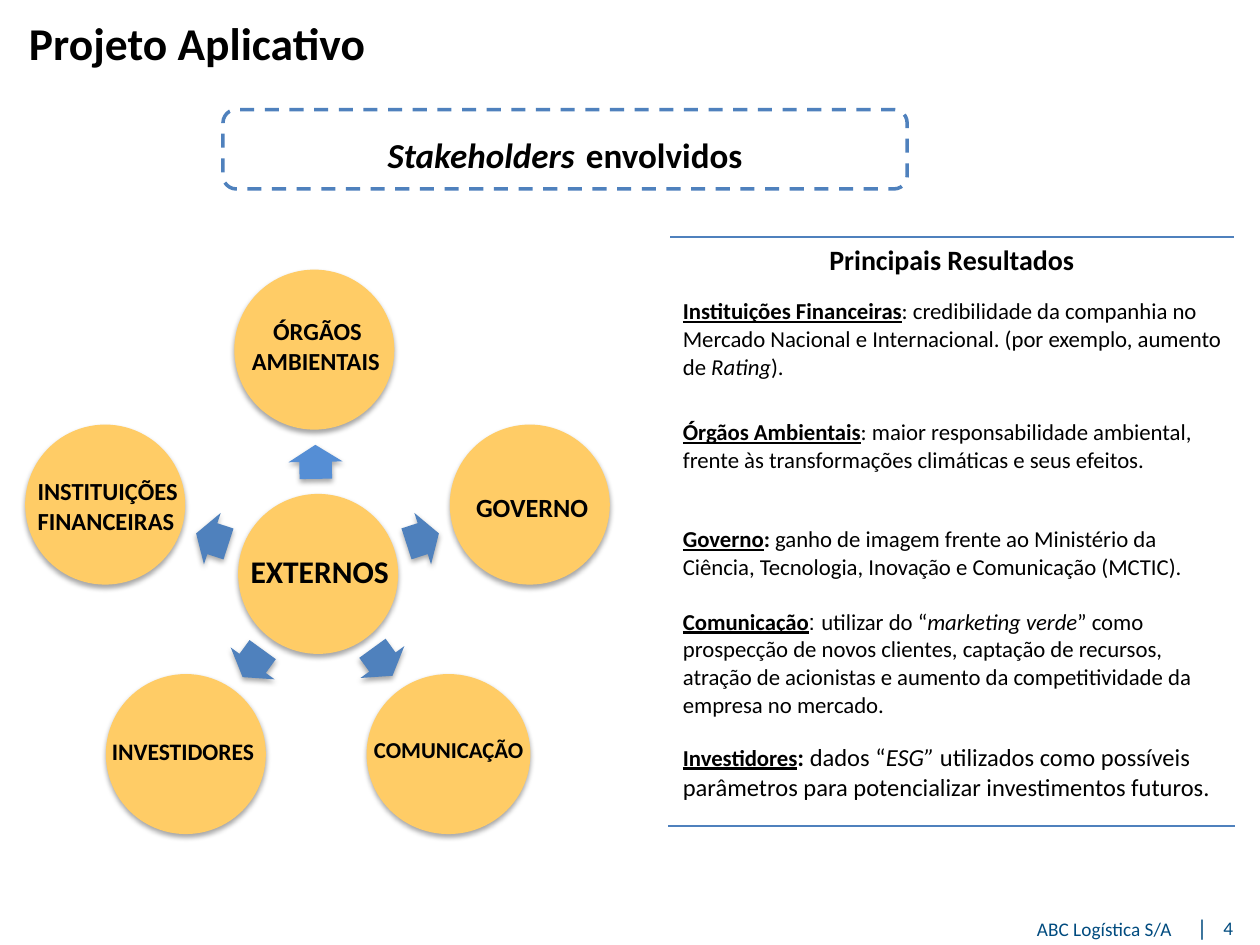
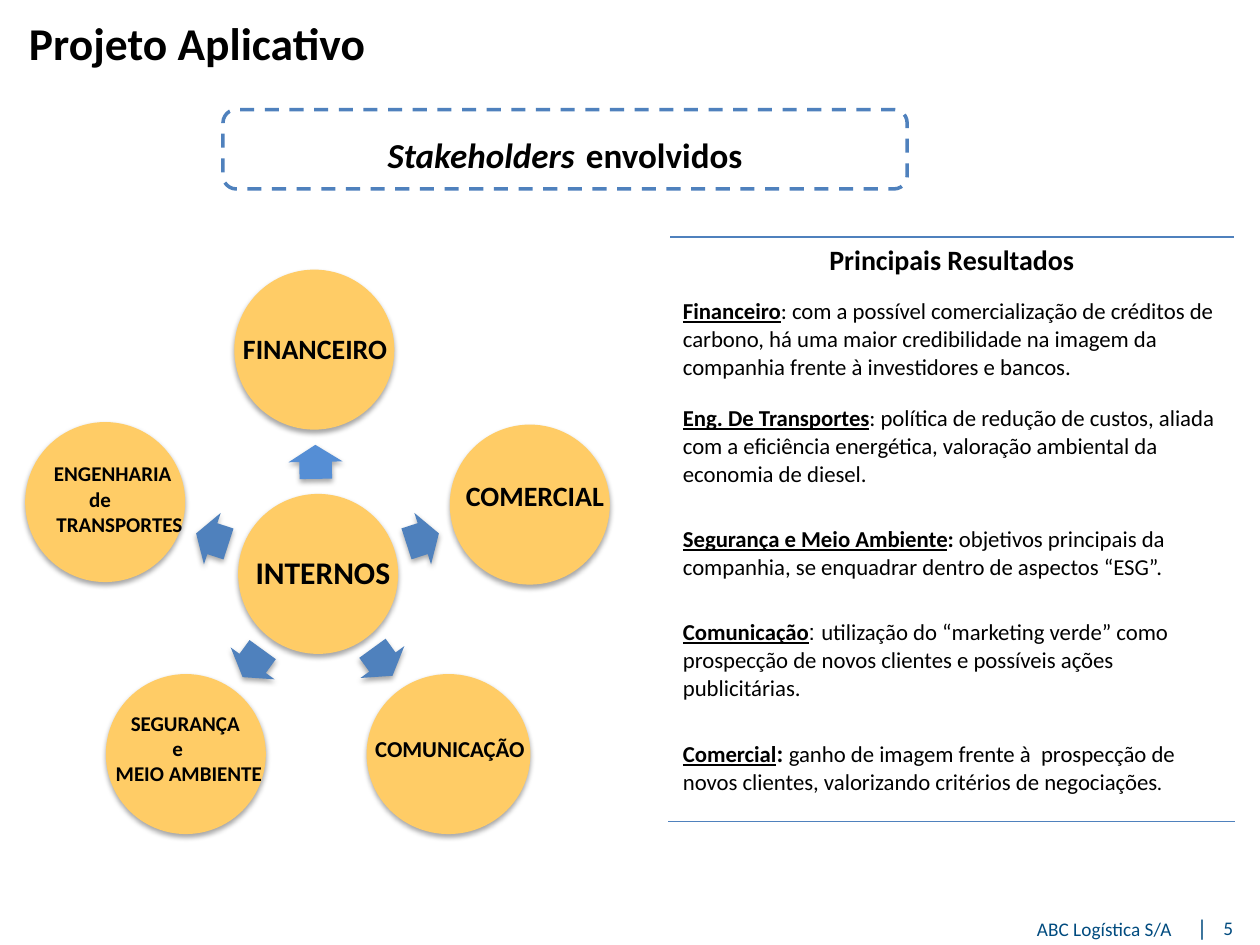
from lxml import etree
from pptx import Presentation
from pptx.dml.color import RGBColor
from pptx.enum import dml, shapes, text
from pptx.oxml.ns import qn
from pptx.util import Inches, Pt

COLORS = {"ink": "000000", "paper": "FFFFFF", "blue": "4F81BD", "light_blue": "558ED5",
          "amber": "FFCC66", "footer": "004B7F"}
RGB = {name: RGBColor.from_string(value) for name, value in COLORS.items()}
FONT = "Calibri"

CIRCLE = 1.27
CENTER = (1.89, 3.92, CIRCLE)
SATELLITES = [(1.86, 2.14, CIRCLE), (3.57, 3.37, CIRCLE), (2.91, 5.35, 1.3),
              (0.84, 5.35, CIRCLE), (0.2, 3.37, CIRCLE)]
ARROWS = [(2.37, 3.45, 269.1, "light_blue"), (3.22, 4.06, 342, "blue"), (2.9, 5.04, 54, "blue"),
          (1.87, 5.05, 126, "blue"), (1.55, 4.06, 198, "blue")]
HEADING = [("Stakeholders", "bi", 20), (" ", "", 28), ("envolvidos", "b", 20)]
FOOTERS = [("ABC Logística S/A", 8.23, 7.28, 1.22, 0.19, 11), ("|", 9.5, 7.25, 0.1, 0.22, 13)]

PAGES = [
    {
        "number": "4",
        "west_lift": 0,
        "labels": [
            (1.89, 4.33, 1.5, 18, [("EXTERNOS", 0)]),
            (0.79, 5.8, 1.6, 13.5, [("INVESTIDORES", 0)]),
            (0.2, 3.73, 1.6, 14, [("INSTITUIÇÕES", 0), ("FINANCEIRAS", 0)]),
            (3.68, 3.85, 1.3, 15, [("GOVERNO", 0)]),
            (1.9, 2.46, 1.6, 14, [("ÓRGÃOS", 0.17), ("AMBIENTAIS", 0)]),
            (2.87, 5.79, 1.6, 13, [("COMUNICAÇÃO", 0)]),
        ],
        "results": [
            [("Instituições Financeiras", "bu"),
             (": credibilidade da companhia no Mercado Nacional e Internacional. (por exemplo, aumento de ", ""),
             ("Rating", "i"), (").", "")],
            [("Órgãos Ambientais", "bu"),
             (": maior responsabilidade ambiental, frente às transformações climáticas e seus efeitos.", "")],
            [("Governo", "bu"), (": ", "b"),
             ("ganho de imagem frente ao Ministério da Ciência, Tecnologia, Inovação e Comunicação (MCTIC).", "")],
            [("Comunicação", "bu"), (": ", "", 13, "Arial"), ("utilizar do “", ""), ("marketing verde", "i"),
             ("” como prospecção de novos clientes, captação de recursos, atração de acionistas "
              "e aumento da competitividade da empresa no mercado.", "")],
            [("Investidores", "bu"), (": ", "b", 14), ("dados “", "", 14), ("ESG”", "i", 14),
             (" utilizados como possíveis parâmetros para potencializar investimentos futuros.", "", 14)],
        ],
    },
    {
        "number": "5",
        "west_lift": 0.02,
        "labels": [
            (1.93, 4.34, 1.5, 18, [("INTERNOS", 0)]),
            (3.6, 3.75, 1.5, 16, [("COMERCIAL", 0)]),
            (1.83, 2.58, 1.69, 16, [("FINANCEIRO", 0)]),
            (0.28, 3.61, 1.6, 12, [("ENGENHARIA", 0.05), ("de", 0.33), ("TRANSPORTES", 0.07)]),
            (0.78, 5.59, 1.8, 12, [("SEGURANÇA", 0.16), ("e", 0.49), ("MEIO AMBIENTE", 0.04)]),
            (2.88, 5.78, 1.56, 13, [("COMUNICAÇÃO", 0)]),
        ],
        "results": [
            [("Financeiro", "bu"),
             (": com a possível comercialização de créditos de carbono, há uma maior credibilidade "
              "na imagem da companhia frente à investidores e bancos.", "")],
            [("Eng. De Transportes", "bu"),
             (": política de redução de custos, aliada com a eficiência energética, "
              "valoração ambiental da economia de diesel.", "")],
            [("Segurança e Meio Ambiente", "bu"), (": ", "b"),
             ("objetivos principais da companhia, se enquadrar dentro de aspectos “ESG”.", "")],
            [("Comunicação", "bu"), (": ", "", 13, "Arial"),
             ("utilização do “marketing verde” como prospecção de novos clientes "
              "e possíveis ações publicitárias.", "")],
            [("Comercial", "bu"), (": ", "b", 14),
             ("ganho de imagem frente à  prospecção de novos clientes, "
              "valorizando critérios de negociações", ""), (".", "", 12)],
        ],
    },
]


def write_runs(paragraph, pieces):
    for wording, flags, *rest in pieces:
        size, font = (rest + [13, FONT][len(rest):])
        run = paragraph.add_run()
        run.text = wording
        run.font.name, run.font.size = font, Pt(size)
        run.font.bold, run.font.italic, run.font.underline = "b" in flags, "i" in flags, "u" in flags
        run.font.color.rgb = RGB["ink"]


def add_raised(slide, preset, left, top, width, height, color):
    shape = slide.shapes.add_shape(preset, Inches(left), Inches(top), Inches(width), Inches(height))
    shape.fill.solid()
    shape.fill.fore_color.rgb = RGB[color]
    shape.line.fill.background()
    shape.shadow.inherit = False
    effects = shape._element.spPr.find(qn("a:effectLst"))
    shadow = etree.SubElement(effects, qn("a:outerShdw"), blurRad=str(Pt(3.1)), dist=str(Pt(1.8)),
                              dir="5400000", rotWithShape="0")
    shade = etree.SubElement(shadow, qn("a:srgbClr"), val=COLORS["ink"])
    etree.SubElement(shade, qn("a:alpha"), val="35000")
    return shape


prs = Presentation()
prs.slide_width, prs.slide_height = Inches(10), Inches(7.5)

for page in PAGES:
    slide = prs.slides.add_slide(prs.slide_layouts[5])

    title = slide.shapes.title
    title.left, title.top, title.width, title.height = Inches(0.13), Inches(0.07), Inches(5), Inches(0.54)
    title.text_frame.text = "Projeto Aplicativo"
    title.text_frame.auto_size = text.MSO_AUTO_SIZE.NONE
    title.text_frame.vertical_anchor = text.MSO_ANCHOR.TOP
    heading = title.text_frame.paragraphs[0]
    heading.alignment = text.PP_ALIGN.LEFT
    heading.font.name, heading.font.size, heading.font.bold = FONT, Pt(26), True
    heading.font.color.rgb = RGB["ink"]

    for wording, left, top, width, height, size in FOOTERS + [(page["number"], 9.71, 7.28, 0.24, 0.17, 11)]:
        frame = slide.shapes.add_textbox(Inches(left), Inches(top), Inches(width), Inches(height)).text_frame
        frame.margin_left = frame.margin_right = frame.margin_top = frame.margin_bottom = 0
        frame.vertical_anchor = text.MSO_ANCHOR.MIDDLE
        frame.word_wrap = False
        frame.text = wording
        footer = frame.paragraphs[0]
        footer.font.name, footer.font.size = FONT, Pt(size)
        footer.font.color.rgb = RGB["footer"]

    banner = slide.shapes.add_shape(shapes.MSO_SHAPE.ROUNDED_RECTANGLE,
                                    Inches(1.77), Inches(0.87), Inches(5.43), Inches(0.63))
    banner.shadow.inherit = False
    banner.fill.solid()
    banner.fill.fore_color.rgb = RGB["paper"]
    banner.line.color.rgb = RGB["blue"]
    banner.line.width = Pt(2)
    banner.line.dash_style = dml.MSO_LINE.DASH
    banner.text_frame.vertical_anchor = text.MSO_ANCHOR.MIDDLE
    banner.text_frame.paragraphs[0].alignment = text.PP_ALIGN.CENTER
    write_runs(banner.text_frame.paragraphs[0], HEADING)

    west_left, west_top, west_width = SATELLITES[-1]
    west = (west_left, west_top - page["west_lift"], west_width)
    for left, top, width in [CENTER] + SATELLITES[:-1] + [west]:
        add_raised(slide, shapes.MSO_SHAPE.OVAL, left, top, width, CIRCLE, "amber")
    for left, top, angle, color in ARROWS:
        arrow = add_raised(slide, shapes.MSO_SHAPE.RIGHT_ARROW, left, top, 0.27, 0.43, color)
        arrow.adjustments[0], arrow.adjustments[1] = 0.6, 0.5
        arrow.rotation = angle

    for left, top, width, size, lines in page["labels"]:
        frame = slide.shapes.add_textbox(Inches(left), Inches(top), Inches(width),
                                         Inches(0.1 + len(lines) * size / 59)).text_frame
        frame.word_wrap = True
        for index, (wording, indent) in enumerate(lines):
            line = frame.add_paragraph() if index else frame.paragraphs[0]
            line.text = wording
            line.font.name, line.font.size, line.font.bold = FONT, Pt(size), True
            line.font.color.rgb = RGB["ink"]
            if indent:
                line._p.get_or_add_pPr().set("marL", str(Inches(indent)))

    results = slide.shapes.add_table(6, 1, Inches(5.31), Inches(1.88), Inches(4.49), Inches(4.64)).table
    results.first_row = results.horz_banding = False
    contents = [[("Principais Resultados", "b", 16)]] + page["results"]
    for index, pieces in enumerate(contents):
        results.rows[index].height = Inches(0.85 if index else 0.39)
        cell = results.cell(index, 0)
        cell.margin_left = cell.margin_right = Inches(0.11 if index else 0)
        cell.margin_top = cell.margin_bottom = Inches(0.01)
        cell.vertical_anchor = text.MSO_ANCHOR.MIDDLE
        write_runs(cell.text_frame.paragraphs[0], pieces)
        cell.fill.background()
    results.cell(0, 0).text_frame.paragraphs[0].alignment = text.PP_ALIGN.CENTER
    for row, side in ((0, "a:lnT"), (5, "a:lnB")):
        border = etree.Element(qn(side), w=str(Pt(1)))
        ink = etree.SubElement(etree.SubElement(border, qn("a:solidFill")), qn("a:srgbClr"))
        ink.set("val", COLORS["blue"])
        results.cell(row, 0)._tc.get_or_add_tcPr().insert(0, border)

prs.save("out.pptx")
